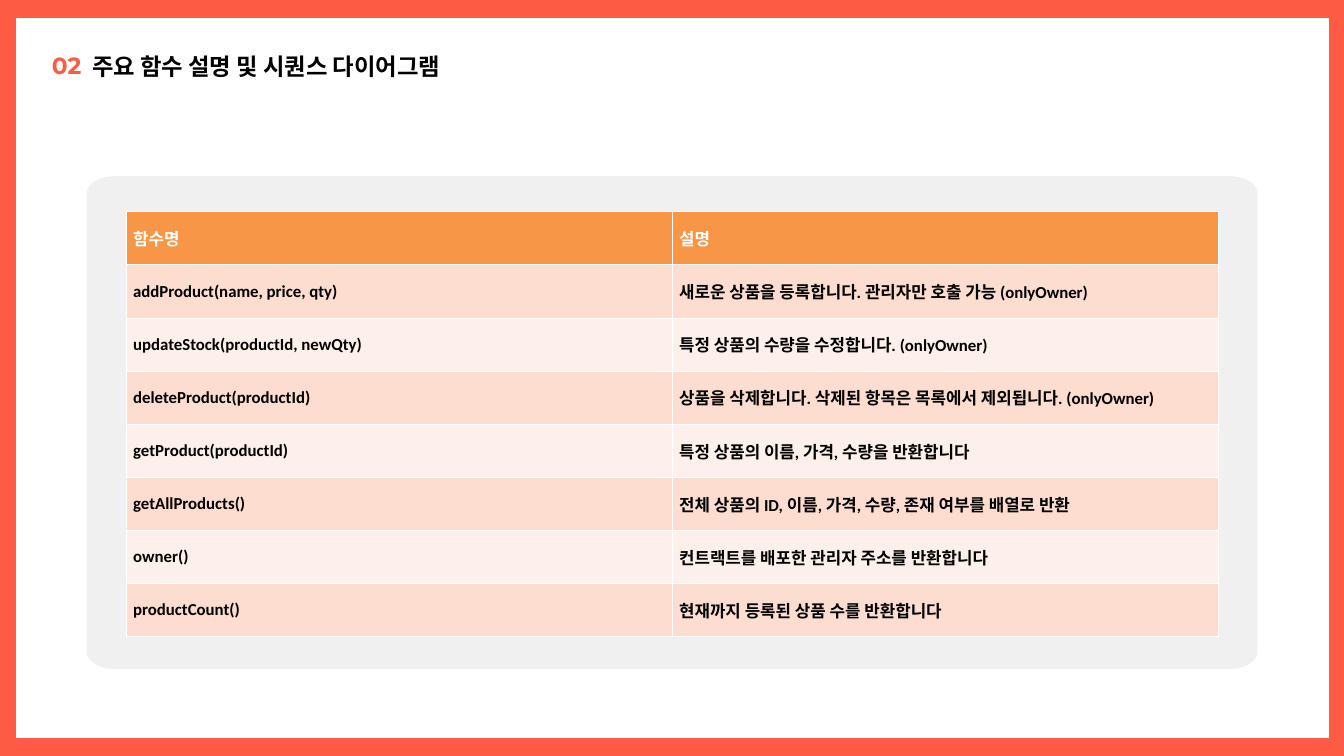
from math import cos, pi, sin

from lxml.etree import SubElement
from pptx import Presentation
from pptx.dml.color import RGBColor
from pptx.enum.text import MSO_ANCHOR as Anchor, MSO_AUTO_SIZE as Fit, PP_ALIGN as Align
from pptx.oxml.ns import qn
from pptx.util import Cm, Pt

CORAL = RGBColor(0xFD, 0x5B, 0x43)
WHITE = RGBColor(0xFF, 0xFF, 0xFF)
BLACK = RGBColor(0x00, 0x00, 0x00)
GRAY = RGBColor(0xF0, 0xF0, 0xF0)
HEAD = RGBColor(0xF7, 0x96, 0x46)
BANDS = RGBColor(0xFD, 0xEF, 0xE9), RGBColor(0xFC, 0xDD, 0xCF)

ROWS = [
    ("함수명", "설명"),
    ("addProduct(name, price, qty)", "새로운 상품을 등록합니다. 관리자만 호출 가능 (onlyOwner)"),
    ("updateStock(productId, newQty)", "특정 상품의 수량을 수정합니다. (onlyOwner)"),
    ("deleteProduct(productId)", "상품을 삭제합니다. 삭제된 항목은 목록에서 제외됩니다. (onlyOwner)"),
    ("getProduct(productId)", "특정 상품의 이름, 가격, 수량을 반환합니다"),
    ("getAllProducts()", "전체 상품의 ID, 이름, 가격, 수량, 존재 여부를 배열로 반환"),
    ("owner()", "컨트랙트를 배포한 관리자 주소를 반환합니다"),
    ("productCount()", "현재까지 등록된 상품 수를 반환합니다"),
]


def apply(item, **vals):
    """Set each given attribute on the item."""
    for key, val in vals.items():
        setattr(item, key, val)


def paint(shape, color):
    """Fill a shape with a plain colour, without line or shadow."""
    shape.shadow.inherit = False
    shape.fill.solid()
    shape.fill.fore_color.rgb = color
    shape.line.fill.background()


def style(font, color, **vals):
    """Set the colour and the other values of a font."""
    font.color.rgb = color
    apply(font, bold=True, **vals)


def outline(slide, box, color, rx=0, ry=0):
    """Draw a filled box with elliptical corners."""
    x, y, w, h = box
    steps = 12 if rx else 0
    pts = []
    for turn in range(4):
        cx = x + (w - rx if turn in (0, 3) else rx)
        cy = y + (h - ry if turn < 2 else ry)
        for step in range(steps + 1):
            ang = pi / 2 * (turn + step / max(steps, 1))
            pts.append((Cm(cx + rx * cos(ang)), Cm(cy + ry * sin(ang))))
    form = slide.shapes.build_freeform(*pts[0])
    form.add_line_segments(pts[1:])
    paint(form.convert_to_shape(), color)


def label(shape, box, text, face, color):
    """Place one line of heading text in a box."""
    left, top, width, height = map(Cm, box)
    apply(shape, left=left, top=top, width=width, height=height)
    frame = shape.text_frame
    apply(frame, text=text, word_wrap=False, auto_size=Fit.NONE,
          vertical_anchor=Anchor.TOP, margin_left=0, margin_right=0,
          margin_top=0, margin_bottom=0)
    para = frame.paragraphs[0]
    apply(para, alignment=Align.LEFT, line_spacing=Pt(35))
    run = para.runs[0]
    style(run.font, color, size=Pt(25), name=face)
    SubElement(run.font._element, qn("a:ea"), typeface=face)


def header(slide, box):
    """Place the section number and the title."""
    x, y, w, h = box
    label(slide.shapes.title, (x + 1.52, y + 0.03, w - 1.52, h),
          "주요 함수 설명 및 시퀀스 다이어그램", "Noto Sans CJK SC", BLACK)
    num = slide.shapes.add_textbox(0, 0, 0, 0)
    label(num, (x, y, 1.22, h), "02", "Montserrat", CORAL)


def panel(slide, box):
    """Draw the gray panel with the function table on it."""
    outline(slide, box, GRAY, 1.07, 0.64)
    x, y, w, h = box
    high = 2.01
    area = x + 1.5, y + 1.34, w - 2.98, high * len(ROWS)
    table = slide.shapes.add_table(len(ROWS), 2, *map(Cm, area)).table
    for r, row in enumerate(ROWS):
        table.rows[r].height = Cm(high)
        for c, text in enumerate(row):
            cell = table.cell(r, c)
            apply(cell, text=text, vertical_anchor=Anchor.MIDDLE)
            cell.fill.solid()
            cell.fill.fore_color.rgb = BANDS[r % 2] if r else HEAD
            style(cell.text_frame.paragraphs[0].runs[0].font,
                  BLACK if r else WHITE, size=Pt(18), name="Calibri")


def main():
    """Build and save the slide."""
    deck = Presentation()
    apply(deck, slide_width=Cm(50.8), slide_height=Cm(28.58))
    slide = deck.slides.add_slide(deck.slide_layouts[5])
    back = slide.background.fill
    back.solid()
    back.fore_color.rgb = CORAL
    outline(slide, (0.6, 0.67, 49.62, 27.24), WHITE)
    header(slide, (1.96, 1.75, 16.02, 1.16))
    panel(slide, (3.28, 6.66, 44.25, 18.63))
    title = slide.shapes.title._element
    slide.shapes[1]._element.addnext(title)
    deck.save("out.pptx")


if __name__ == "__main__":
    main()
